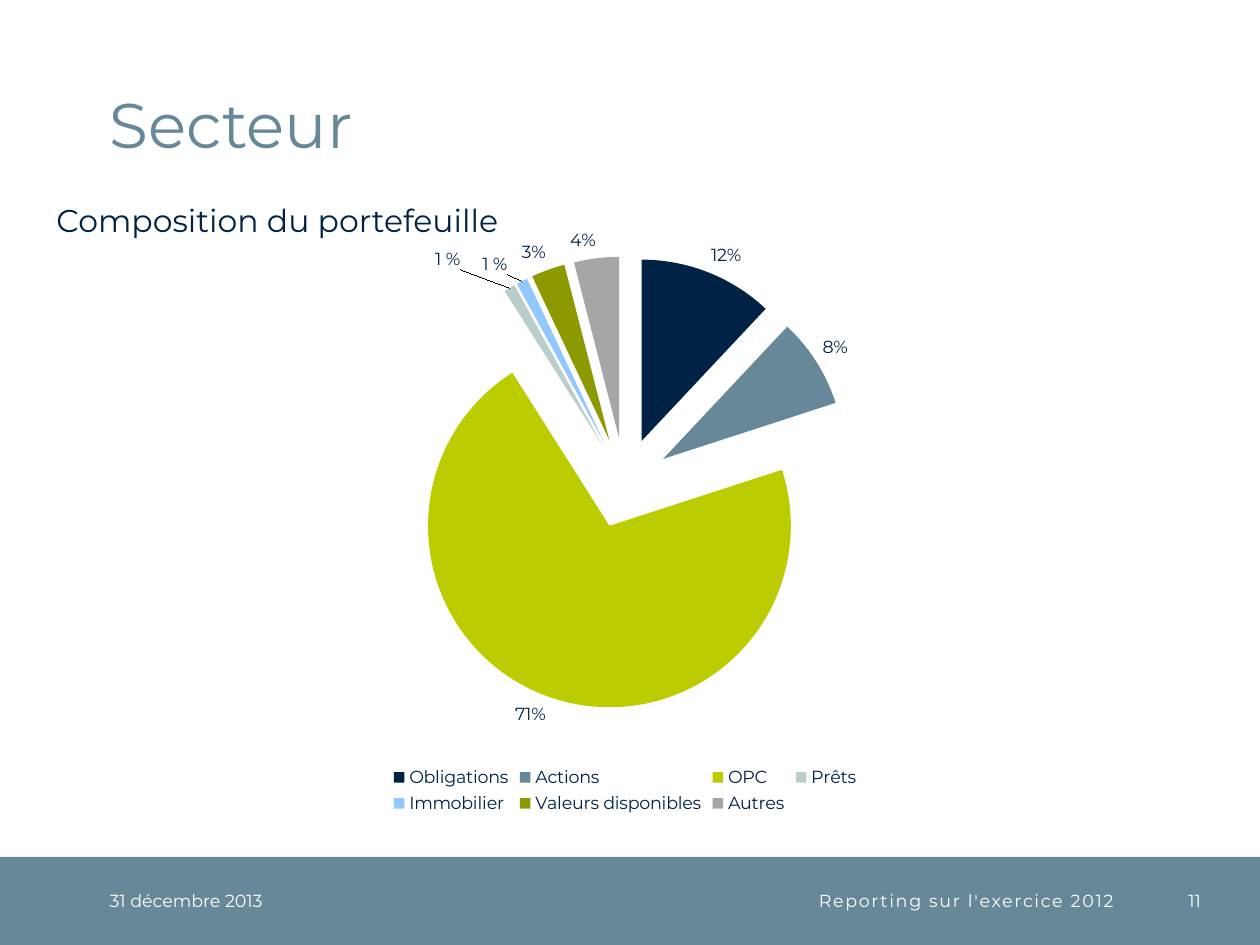
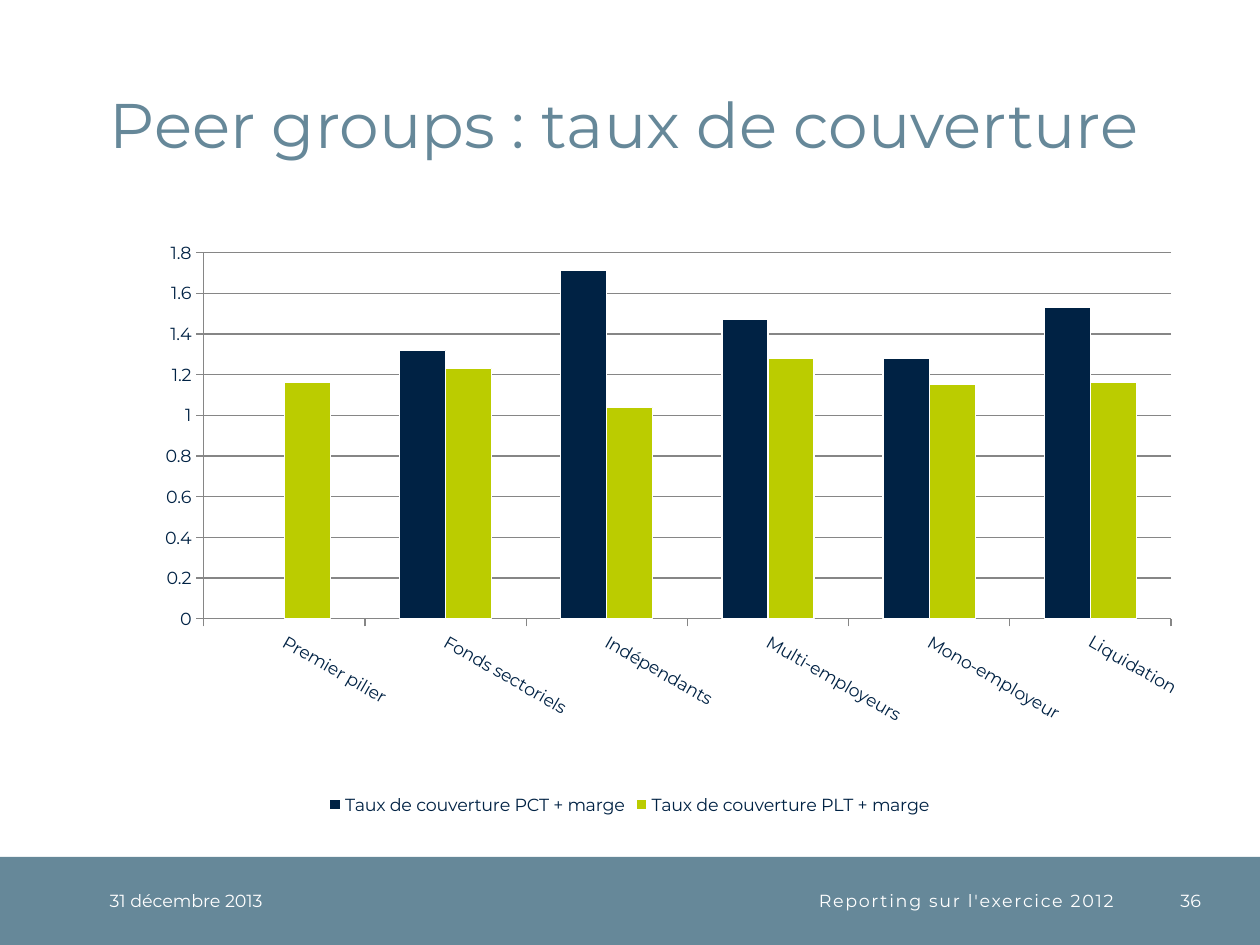
from lxml.etree import SubElement
from pptx import Presentation
from pptx.chart.data import CategoryChartData
from pptx.dml.color import RGBColor
from pptx.enum.chart import XL_CHART_TYPE, XL_LABEL_POSITION, XL_LEGEND_POSITION, XL_TICK_MARK
from pptx.enum.shapes import MSO_SHAPE
from pptx.enum.text import MSO_ANCHOR, MSO_AUTO_SIZE, PP_ALIGN
from pptx.oxml import parse_xml
from pptx.oxml.ns import nsdecls, qn
from pptx.util import Inches, Pt

FONT = "Montserrat"
NAVY = RGBColor(0x00, 0x22, 0x44)
SLATE = RGBColor(0x66, 0x88, 0x99)
LIME = RGBColor(0xBB, 0xCC, 0x00)
MIST = RGBColor(0xBB, 0xCC, 0xCC)
SKY = RGBColor(0x91, 0xC8, 0xFF)
OLIVE = RGBColor(0x8B, 0x9A, 0x00)
SILVER = RGBColor(0xA6, 0xA6, 0xA6)
AXIS_GRAY = RGBColor(0x86, 0x86, 0x86)
WHITE = RGBColor(0xFF, 0xFF, 0xFF)

DATE = "31 décembre 2013"
FOOTER = "Reporting sur l'exercice 2012"
BAND_TOP, BAND_HEIGHT = 6.8, 0.7

SECTORS = [
    ("Obligations", 0.12, NAVY),
    ("Actions", 0.08, SLATE),
    ("OPC", 0.71, LIME),
    ("Prêts", 0.01, MIST),
    ("Immobilier", 0.01, SKY),
    ("Valeurs disponibles", 0.03, OLIVE),
    ("Autres", 0.04, SILVER),
]
# Own label text and its shift, as shares of the chart size, by slice
SHIFTED_LABELS = {3: ("1 %", -0.04, -0.02), 4: ("1 %", -0.01, 0.0)}

PEER_GROUPS = ["Premier pilier", "Fonds sectoriels", "Indépendants",
               "Multi-employeurs", "Mono-employeur", "Liquidation"]
COVERAGE = [
    ("Taux de couverture PCT + marge", NAVY, [None, 1.32, 1.71, 1.47, 1.28, 1.53]),
    ("Taux de couverture PLT + marge", LIME, [1.16, 1.23, 1.04, 1.28, 1.15, 1.16]),
]


def inches(*lengths):
    return [Inches(length) for length in lengths]


def write(frame, text, size, color, align=PP_ALIGN.LEFT):
    para = frame.paragraphs[0]
    para.alignment = align
    span = para.add_run()
    span.text = text
    span.font.name = FONT
    span.font.size = Pt(size)
    span.font.color.rgb = color
    return span


def clear_margins(frame):
    frame.margin_left = frame.margin_right = frame.margin_top = frame.margin_bottom = 0


def add_footer_text(page, left, width, text, align=PP_ALIGN.LEFT):
    box = page.shapes.add_textbox(*inches(left, BAND_TOP, width, BAND_HEIGHT))
    frame = box.text_frame
    frame.word_wrap = True
    frame.vertical_anchor = MSO_ANCHOR.MIDDLE
    clear_margins(frame)
    return write(frame, text, 10, WHITE, align)


def add_page(deck, title, number):
    """Add a slide with the shared title, band and footer texts."""
    page = deck.slides.add_slide(deck.slide_layouts.get_by_name("Title Only"))
    band = page.shapes.add_shape(MSO_SHAPE.RECTANGLE,
                                 *inches(0, BAND_TOP, 10, BAND_HEIGHT))
    band.shadow.inherit = False
    band.fill.solid()
    band.fill.fore_color.rgb = SLATE
    band.line.fill.background()

    heading = page.shapes.title
    heading.left, heading.top, heading.width, heading.height = inches(0.87, 0.2, 8.63, 1.08)
    frame = heading.text_frame
    frame.auto_size = MSO_AUTO_SIZE.NONE
    frame.vertical_anchor = MSO_ANCHOR.BOTTOM
    clear_margins(frame)
    write(frame, title, 36, SLATE)
    frame.paragraphs[0].line_spacing = Pt(32)

    add_footer_text(page, 0.87, 1.77, DATE)
    footer = add_footer_text(page, 2.64, 6.2, FOOTER, PP_ALIGN.RIGHT)
    footer.font._element.set("spc", "100")
    add_footer_text(page, 9.04, 0.49, str(number), PP_ALIGN.RIGHT)
    return page


def manual_layout(**settings):
    layout = parse_xml(f"<c:layout {nsdecls('c')}/>")
    manual = SubElement(layout, qn("c:manualLayout"))
    for name, value in settings.items():
        SubElement(manual, qn(f"c:{name}")).set("val", str(value))
    return layout


def add_chart(page, kind, place, data, plot_place):
    """Add a chart with the shared text style, legend and a fixed inner plot area."""
    chart = page.shapes.add_chart(kind, *inches(*place), data).chart
    chart.has_title = False
    chart.font.name = FONT
    chart.font.size = Pt(10)
    chart.font.color.rgb = NAVY
    chart.has_legend = True
    chart.legend.position = XL_LEGEND_POSITION.BOTTOM
    chart.legend.include_in_layout = False
    area = chart._chartSpace.chart.plotArea
    for layout in area.findall(qn("c:layout")):
        area.remove(layout)
    x, y, w, h = plot_place
    area.insert(0, manual_layout(layoutTarget="inner", xMode="edge", yMode="edge",
                                 x=x, y=y, w=w, h=h))
    return chart


def fill_solid(element, color):
    element.format.fill.solid()
    element.format.fill.fore_color.rgb = color


def add_sector_pie(page):
    data = CategoryChartData(number_format="0%")
    data.categories = [name for name, _, _ in SECTORS]
    data.add_series("Series 1", [share for _, share, _ in SECTORS])
    chart = add_chart(page, XL_CHART_TYPE.PIE_EXPLODED, (0.43, 1.7, 9.06, 4.8), data,
                      (0.3, 0.07, 0.4, 0.75))
    series = chart.plots[0].series[0]
    explosion = series._element.find(qn("c:explosion"))
    if explosion is not None:
        explosion.set("val", "25")
    for index, (_, _, color) in enumerate(SECTORS):
        fill_solid(series.points[index], color)
        point = series._element.findall(qn("c:dPt"))[index]
        shift = parse_xml(f'<c:explosion {nsdecls("c")} val="25"/>')
        point.find(qn("c:spPr")).addprevious(shift)

    labels = series.data_labels
    labels.show_value = True
    labels.number_format = "0%"
    labels.number_format_is_linked = False
    labels.position = XL_LABEL_POSITION.OUTSIDE_END
    for index, (text, x, y) in SHIFTED_LABELS.items():
        label = series.points[index].data_label
        write(label.text_frame, text, 10, NAVY)
        label.position = XL_LABEL_POSITION.OUTSIDE_END
        element = labels._element.findall(qn("c:dLbl"))[-1]
        for layout in element.findall(qn("c:layout")):
            element.remove(layout)
        element.insert(1, manual_layout(x=x, y=y))


def add_coverage_columns(page):
    data = CategoryChartData()
    data.categories = PEER_GROUPS
    for name, _, rates in COVERAGE:
        data.add_series(name, rates)
    chart = add_chart(page, XL_CHART_TYPE.COLUMN_CLUSTERED, (0.43, 1.47, 9.13, 5.04),
                      data, (0.13, 0.106, 0.841, 0.577))
    plot = chart.plots[0]
    plot.gap_width = 150
    plot.overlap = 0
    plot.vary_by_categories = False
    for series, (_, color, _) in zip(plot.series, COVERAGE):
        fill_solid(series, color)
        series.invert_if_negative = False
        series.format.line.color.rgb = WHITE
        series.format.line.width = Pt(0.75)

    rates_axis = chart.value_axis
    rates_axis.minimum_scale, rates_axis.maximum_scale = 0, 1.8
    rates_axis.major_unit = 0.2
    rates_axis.has_major_gridlines = True
    rates_axis.tick_labels.number_format = "General"
    rates_axis.tick_labels.number_format_is_linked = False
    groups_axis = chart.category_axis
    for axis in (rates_axis, groups_axis):
        axis.major_tick_mark = XL_TICK_MARK.OUTSIDE
        axis.tick_labels.font.size = Pt(10)
    for part in (rates_axis, groups_axis, rates_axis.major_gridlines):
        part.format.line.color.rgb = AXIS_GRAY
        part.format.line.width = Pt(0.75)
    slant = groups_axis._element.find(qn("c:txPr")).find(qn("a:bodyPr"))
    slant.set("rot", str(30 * 60000))
    slant.set("vert", "horz")


def main():
    deck = Presentation()
    deck.slide_width, deck.slide_height = inches(10, 7.5)

    sector_page = add_page(deck, "Secteur", 11)
    caption = sector_page.shapes.add_textbox(*inches(0.35, 1.55, 3.86, 0.4))
    caption.text_frame.word_wrap = True
    caption.text_frame.auto_size = MSO_AUTO_SIZE.SHAPE_TO_FIT_TEXT
    write(caption.text_frame, "Composition du portefeuille", 18, NAVY)
    add_sector_pie(sector_page)

    add_coverage_columns(add_page(deck, "Peer groups : taux de couverture", 36))
    deck.save("out.pptx")


if __name__ == "__main__":
    main()
